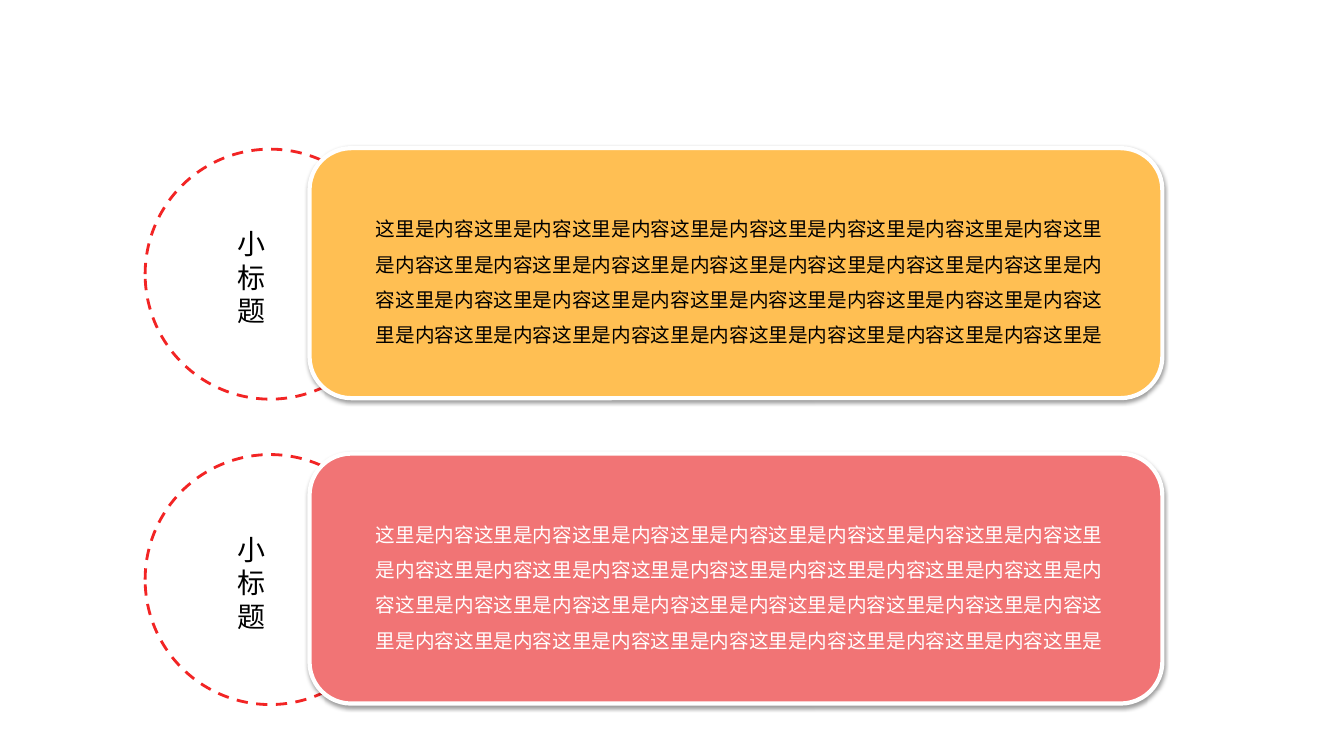
from dataclasses import dataclass

from lxml import etree
from pptx import Presentation, util as u
from pptx.dml.color import RGBColor
from pptx.enum import dml, shapes, text
from pptx.oxml import ns

BLACK = RGBColor(0, 0, 0)
WHITE = RGBColor(0xFF, 0xFF, 0xFF)
RED = RGBColor(0xF2, 0x24, 0x24)
AMBER = RGBColor(0xFF, 0xBF, 0x53)
CORAL = RGBColor(0xF1, 0x74, 0x75)

SLIDE_WIDTH, SLIDE_HEIGHT = u.Inches(13.33), u.Inches(7.5)
ROW_PITCH = 40.4  # percent of the slide's height
CONTENT = "这里是内容" * 29 + "这里是"


@dataclass(frozen=True)
class Area:
    """Place and size in percent of the slide's width and height."""
    left: float
    top: float
    width: float
    height: float

    def on_row(self, row: int) -> tuple[int, int, int, int]:
        return (round(SLIDE_WIDTH * self.left / 100),
                round(SLIDE_HEIGHT * (self.top + row * ROW_PITCH) / 100),
                round(SLIDE_WIDTH * self.width / 100),
                round(SLIDE_HEIGHT * self.height / 100))


@dataclass(frozen=True)
class Section:
    title: str
    content: str
    fill: RGBColor
    content_color: RGBColor
    title_width: float


CIRCLE = Area(10.8, 19.73, 18.6, 33.07)
CARD = Area(23.03, 19.6, 63.46, 33.07)
CONTENT_AREA = Area(27.23, 26.53, 56.34, 20.13)
SECTIONS = [
    Section("小标题", CONTENT, AMBER, BLACK, 4.95),
    Section("小标题", CONTENT, CORAL, WHITE, 5.33),
]


def add_circle(page, row: int) -> None:
    circle = page.shapes.add_shape(shapes.MSO_SHAPE.OVAL, *CIRCLE.on_row(row))
    circle.shadow.inherit = False
    circle.fill.background()
    circle.line.color.rgb = RED
    circle.line.width = u.Pt(2)
    circle.line.dash_style = dml.MSO_LINE.DASH


def add_card(page, row: int, color: RGBColor) -> None:
    card = page.shapes.add_shape(shapes.MSO_SHAPE.ROUNDED_RECTANGLE, *CARD.on_row(row))
    card.shadow.inherit = False
    card.fill.solid()
    card.fill.fore_color.rgb = color
    card.line.color.rgb = WHITE
    card.line.width = u.Pt(3)
    effects = card.element.spPr.find(ns.qn("a:effectLst"))
    shadow = etree.SubElement(effects, ns.qn("a:outerShdw"), blurRad=str(u.Pt(3.1)),
                              dist=str(u.Pt(1.6)), dir=str(90 * 60000),
                              algn="t", rotWithShape="0")
    tint = etree.SubElement(shadow, ns.qn("a:srgbClr"), val=str(BLACK))
    etree.SubElement(tint, ns.qn("a:alpha"), val="38000")


def add_text(page, area: Area, row: int, words: str, size: int, font_name: str,
             color: RGBColor, spacing: float = 1.0) -> None:
    box = page.shapes.add_textbox(*area.on_row(row))
    frame = box.text_frame
    frame.word_wrap = True
    frame.auto_size = text.MSO_AUTO_SIZE.SHAPE_TO_FIT_TEXT
    para = frame.paragraphs[0]
    para.text = words
    para.line_spacing = spacing
    para.font.size = u.Pt(size)
    para.font.name = font_name
    para.font.color.rgb = color
    # Chinese characters take the East Asian typeface, which follows the Latin one.
    latin = next(para._p.iter(ns.qn("a:latin")))
    latin.addnext(latin.makeelement(ns.qn("a:ea"), {"typeface": font_name}))


def add_section(page, row: int, section: Section) -> None:
    add_circle(page, row)
    add_card(page, row, section.fill)
    title_area = Area(16.95, 29.33, section.title_width, 14.8)
    add_text(page, title_area, row, section.title, 20, "Noto Sans CJK JP", BLACK)
    add_text(page, CONTENT_AREA, row, section.content, 14, "Noto Sans CJK SC",
             section.content_color, spacing=1.5)


def main() -> None:
    deck = Presentation()
    deck.slide_width, deck.slide_height = SLIDE_WIDTH, SLIDE_HEIGHT
    page = deck.slides.add_slide(deck.slide_layouts[6])
    for row, section in enumerate(SECTIONS):
        add_section(page, row, section)
    deck.save("out.pptx")


if __name__ == "__main__":
    main()
